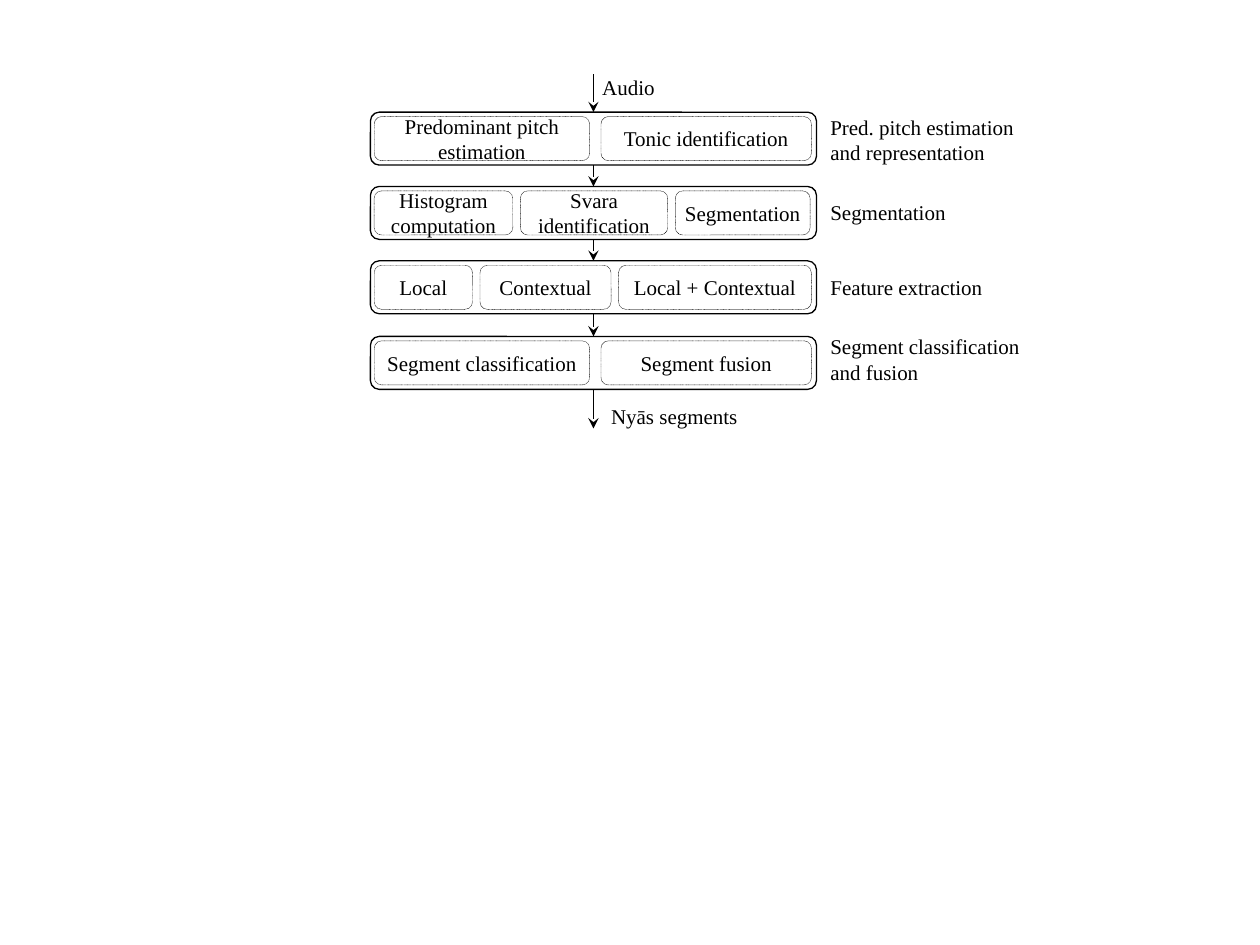
from dataclasses import dataclass

from lxml import etree
from pptx import Presentation
from pptx.dml.color import RGBColor
from pptx.enum.dml import MSO_LINE
from pptx.enum.shapes import MSO_CONNECTOR, MSO_SHAPE
from pptx.enum.text import MSO_ANCHOR, MSO_AUTO_SIZE, PP_ALIGN
from pptx.oxml.ns import qn
from pptx.shapes.autoshape import Shape
from pptx.slide import Slide
from pptx.text.text import TextFrame
from pptx.util import Inches, Pt

ROUNDED = MSO_SHAPE.ROUNDED_RECTANGLE
STRAIGHT = MSO_CONNECTOR.STRAIGHT
DOTTED = MSO_LINE.ROUND_DOT
MIDDLE = MSO_ANCHOR.MIDDLE
GROW = MSO_AUTO_SIZE.SHAPE_TO_FIT_TEXT
LEFT, CENTER = PP_ALIGN.LEFT, PP_ALIGN.CENTER

COLORS = {"ink": "000000"}
FONT = "Times New Roman"
STAGE_LEFT, STAGE_WIDTH, STAGE_HEIGHT = 2.94, 3.54, 0.42
STEP_LEFT, STEP_HEIGHT, STEP_INSET = 2.97, 0.35, 0.035
LABEL_LEFT = 6.59
FLOW_X, FLOW_START, FLOW_END = 4.71, 0.59, 3.4


@dataclass(frozen=True)
class Step:
    text: str
    width: float


@dataclass(frozen=True)
class Label:
    text: str
    left: float
    top: float
    width: float
    height: float = 0.2


@dataclass(frozen=True)
class Stage:
    top: float
    gap: float
    steps: tuple[Step, ...]
    label: Label


STAGES = (
    Stage(0.89, 0.09,
          (Step("Predominant pitch estimation", 1.71), Step("Tonic identification", 1.67)),
          Label("Pred. pitch estimation\nand representation", LABEL_LEFT, 0.91, 1.94, 0.4)),
    Stage(1.48, 0.06,
          (Step("Histogram computation", 1.1), Step("Svara identification", 1.17),
           Step("Segmentation", 1.07)),
          Label("Segmentation", LABEL_LEFT, 1.58, 1.17)),
    Stage(2.07, 0.06,
          (Step("Local", 0.78), Step("Contextual", 1.04), Step("Local + Contextual", 1.53)),
          Label("Feature extraction", LABEL_LEFT, 2.18, 1.45)),
    Stage(2.67, 0.09,
          (Step("Segment classification", 1.71), Step("Segment fusion", 1.67)),
          Label("Segment classification and fusion", LABEL_LEFT, 2.65, 1.54, 0.4)),
)
INPUT_LABEL = Label("Audio", 4.78, 0.59, 0.7)
OUTPUT_LABEL = Label("Nyās segments", 4.85, 3.2, 1.25)


def ink() -> RGBColor:
    return RGBColor.from_string(COLORS["ink"])


def write_text(frame: TextFrame, text: str, align: PP_ALIGN) -> None:
    frame.margin_left = frame.margin_right = frame.margin_top = frame.margin_bottom = 0
    frame.word_wrap = True
    frame.text = text
    for para in frame.paragraphs:
        para.alignment = align
        para.font.name = FONT
        para.font.size = Pt(12)
        para.font.color.rgb = ink()


def add_box(page: Slide, left: float, top: float, width: float, height: float,
            weight: float) -> Shape:
    box = page.shapes.add_shape(
        ROUNDED, Inches(left), Inches(top), Inches(width), Inches(height))
    box.shadow.inherit = False
    box.fill.background()
    box.line.color.rgb = ink()
    box.line.width = Pt(weight)
    return box


def add_label(page: Slide, label: Label) -> None:
    box = page.shapes.add_textbox(
        Inches(label.left), Inches(label.top), Inches(label.width), Inches(label.height))
    write_text(box.text_frame, label.text, LEFT)
    box.text_frame.auto_size = GROW


def add_stage(page: Slide, stage: Stage) -> None:
    left = STEP_LEFT
    for step in stage.steps:
        box = add_box(page, left, stage.top + STEP_INSET, step.width, STEP_HEIGHT, 0.25)
        box.line.dash_style = DOTTED
        write_text(box.text_frame, step.text, CENTER)
        box.text_frame.vertical_anchor = MIDDLE
        left += step.width + stage.gap
    add_box(page, STAGE_LEFT, stage.top, STAGE_WIDTH, STAGE_HEIGHT, 0.75)
    add_label(page, stage.label)


def add_arrow(page: Slide, top: float, bottom: float) -> None:
    arrow = page.shapes.add_connector(
        STRAIGHT, Inches(FLOW_X), Inches(top), Inches(FLOW_X), Inches(bottom))
    arrow.line.color.rgb = ink()
    arrow.line.width = Pt(1)
    properties = arrow.line._get_or_add_ln()
    etree.SubElement(properties, qn("a:tailEnd"), type="stealth")
    etree.SubElement(properties.getparent(), qn("a:effectLst"))


def main() -> None:
    deck = Presentation()
    deck.slide_width, deck.slide_height = Inches(10), Inches(7.5)
    page = deck.slides.add_slide(deck.slide_layouts[6])
    for stage in STAGES:
        add_stage(page, stage)
    add_label(page, INPUT_LABEL)
    add_label(page, OUTPUT_LABEL)
    starts = [FLOW_START] + [stage.top + STAGE_HEIGHT for stage in STAGES]
    ends = [stage.top for stage in STAGES] + [FLOW_END]
    for top, bottom in zip(starts, ends):
        add_arrow(page, top, bottom)
    deck.save("out.pptx")


if __name__ == "__main__":
    main()
